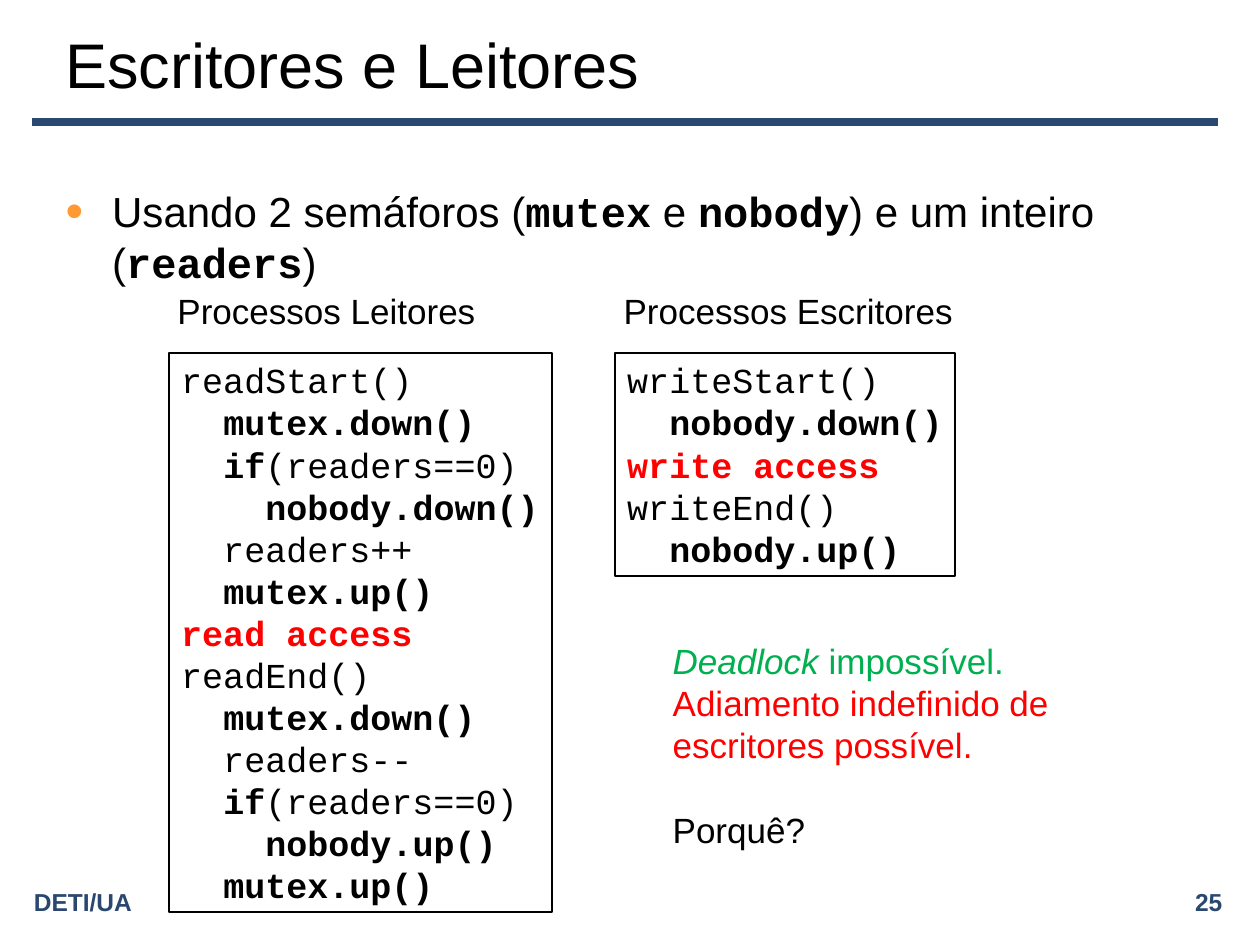
from dataclasses import dataclass

from lxml import etree
from pptx import Presentation
from pptx import util as u
from pptx.dml.color import RGBColor
from pptx.enum import shapes, text
from pptx.oxml import ns

COLUMNS, ROWS = 100, 75
CELL = u.Inches(0.1)


@dataclass(frozen=True)
class Theme:
    sans: str = "Arial"
    mono: str = "Courier New"
    ink: str = "000000"
    navy: str = "2A476F"
    orange: str = "FF9933"
    red: str = "FF0000"
    green: str = "00B050"
    title: int = 36
    body: int = 24
    content: int = 20
    footer: int = 14
    leading: float = 1.2


THEME = Theme()

READER_CODE = """readStart()
  *mutex.down()*
  *if*(readers==0)
    *nobody.down()*
  readers++
  *mutex.up()*
!read access
readEnd()
  *mutex.down()*
  readers--
  *if*(readers==0)
    *nobody.up()*
  *mutex.up()*"""

WRITER_CODE = """writeStart()
  *nobody.down()*
!write access
writeEnd()
  *nobody.up()*"""


def grid(*cells):
    return [round(cell * CELL) for cell in cells]


def add_span(para, words, *, face=THEME.sans, size=THEME.content,
             color=THEME.ink, bold=False, italic=False):
    span = para.add_run()
    span.text = words
    span.font.name = face
    span.font.size = u.Pt(size)
    span.font.bold = bold
    span.font.italic = italic
    span.font.color.rgb = RGBColor.from_string(color)


def add_marked(para, words, plain, strong):
    for position, piece in enumerate(words.split("*")):
        if piece:
            add_span(para, piece, **(strong if position % 2 else plain))


def set_leading(para, size=THEME.content):
    para.line_spacing = u.Pt(round(size * THEME.leading))


def set_frame(box, *, anchor=text.MSO_ANCHOR.TOP, right=0.1):
    frame = box.text_frame
    frame.margin_left = u.Inches(0.1)
    frame.margin_right = u.Inches(right)
    frame.margin_top = frame.margin_bottom = u.Inches(0.05)
    frame.vertical_anchor = anchor
    frame.word_wrap = True
    frame.auto_size = text.MSO_AUTO_SIZE.NONE
    para = frame.paragraphs[0]
    para.alignment = text.PP_ALIGN.LEFT
    para.space_before = u.Pt(0)
    return frame


def move(box, *cells):
    box.left, box.top, box.width, box.height = grid(*cells)


def add_bullet(para, color):
    props = para._p.get_or_add_pPr()
    indent = u.Inches(0.37)
    props.set("marL", str(indent))
    props.set("indent", str(-indent))
    tint = etree.SubElement(props, ns.qn("a:buClr"))
    etree.SubElement(tint, ns.qn("a:srgbClr"), val=color)
    etree.SubElement(props, ns.qn("a:buSzPct"), val="120000")
    etree.SubElement(props, ns.qn("a:buFont"), typeface=THEME.sans)
    etree.SubElement(props, ns.qn("a:buChar"), char="•")


def add_rule(page):
    left, right, top = grid(2.5, 96.7, 9.7)
    rule = page.shapes.add_connector(
        shapes.MSO_CONNECTOR.STRAIGHT, left, top, right, top)
    rule.line.color.rgb = RGBColor.from_string(THEME.navy)
    rule.line.width = u.Pt(4.5)
    etree.SubElement(rule._element.spPr, ns.qn("a:effectLst"))


def add_footer(page, words, column, align):
    box = page.shapes.add_textbox(*grid(column, 70, 38.8, 3.1))
    para = set_frame(box, anchor=text.MSO_ANCHOR.MIDDLE).paragraphs[0]
    para.alignment = align
    add_span(para, words, size=THEME.footer, color=THEME.navy, bold=True)


def fill_title(page, words):
    title = page.shapes.title
    move(title, 4.2, 1.7, 87.5, 6.7)
    para = set_frame(title, anchor=text.MSO_ANCHOR.MIDDLE).paragraphs[0]
    add_span(para, words, size=THEME.title)


def fill_body(page, words):
    body = page.placeholders[1]
    move(body, 4.2, 14.2, 90, 49.5)
    para = set_frame(body).paragraphs[0]
    add_bullet(para, THEME.orange)
    set_leading(para, THEME.body)
    add_marked(para, words, dict(size=THEME.body),
               dict(size=THEME.body, face=THEME.mono, bold=True))


def add_label(page, words, column, width):
    box = page.shapes.add_textbox(*grid(column, 22.5, width, 4.4))
    para = set_frame(box, right=0).paragraphs[0]
    set_leading(para)
    add_span(para, words)


def add_code(page, code, column, width, height):
    box = page.shapes.add_shape(
        shapes.MSO_SHAPE.RECTANGLE, *grid(column, 28, width, height))
    box.shadow.inherit = False
    box.fill.background()
    box.line.color.rgb = RGBColor.from_string(THEME.ink)
    box.line.width = u.Pt(1.25)
    frame = set_frame(box, right=0)
    plain = dict(face=THEME.mono)
    strong = dict(plain, bold=True)
    for number, line in enumerate(code.splitlines()):
        para = frame.add_paragraph() if number else frame.paragraphs[0]
        para.alignment = text.PP_ALIGN.LEFT
        set_leading(para)
        if line.startswith("!"):
            add_span(para, line[1:], color=THEME.red, **strong)
        else:
            add_marked(para, line, plain, strong)


def add_conclusion(page):
    box = page.shapes.add_textbox(*grid(52.4, 50.3, 36.2, 17.7))
    frame = set_frame(box)
    verdict = frame.paragraphs[0]
    set_leading(verdict)
    add_span(verdict, "Deadlock", color=THEME.green, italic=True)
    add_span(verdict, " impossível.", color=THEME.green)
    verdict.add_line_break()
    add_span(verdict, "Adiamento indefinido de escritores possível.",
             color=THEME.red)
    question = frame.add_paragraph()
    set_leading(question)
    question.space_before = question.line_spacing
    add_span(question, "Porquê?")


def main():
    deck = Presentation()
    deck.slide_width, deck.slide_height = grid(COLUMNS, ROWS)
    page = deck.slides.add_slide(deck.slide_layouts[1])
    add_rule(page)
    add_footer(page, "25", 59.2, text.PP_ALIGN.RIGHT)
    add_footer(page, "DETI/UA", 1.7, text.PP_ALIGN.LEFT)
    fill_title(page, "Escritores e Leitores")
    fill_body(page, "Usando 2 semáforos (*mutex* e *nobody*) "
                    "e um inteiro (*readers*)")
    add_label(page, "Processos Leitores", 13.1, 25.6)
    add_label(page, "Processos Escritores", 48.5, 28.1)
    add_code(page, READER_CODE, 13.4, 30.4, 44.4)
    add_code(page, WRITER_CODE, 48.8, 27, 17.7)
    add_conclusion(page)
    deck.save("out.pptx")


if __name__ == "__main__":
    main()
